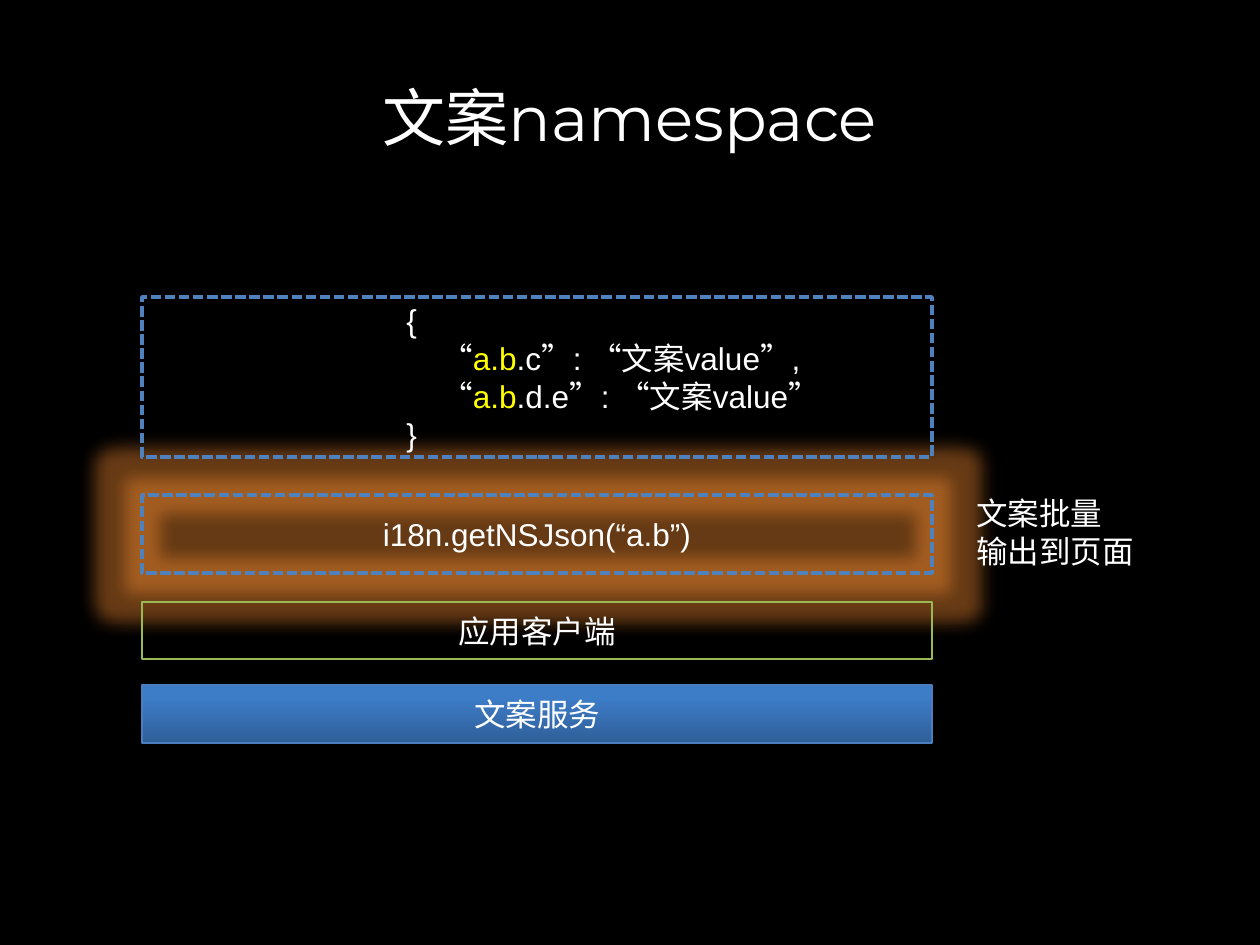
from lxml import etree
from pptx import Presentation
from pptx import util as u
from pptx.dml.color import RGBColor
from pptx.enum import dml, shapes, text
from pptx.oxml import ns

PX = 914400 / 126
BLACK = RGBColor(0x00, 0x00, 0x00)
WHITE = RGBColor(0xFF, 0xFF, 0xFF)
YELLOW = RGBColor(0xFF, 0xFF, 0x00)
BLUE = RGBColor(0x4F, 0x81, 0xBD)
SERVICE_LINE = RGBColor(0x4B, 0x7E, 0xBC)
SERVICE_DARK = RGBColor(0x2F, 0x5F, 0x99)
SERVICE_LIGHT = RGBColor(0x3D, 0x7C, 0xC7)
GREEN = RGBColor(0x98, 0xB9, 0x55)
GLOW = RGBColor(0xFF, 0x91, 0x34)

LAYER_LEFT, LAYER_WIDTH = 142, 790


def emu(*lengths):
    return [u.Emu(round(length * PX)) for length in lengths]


def write(frame, lines, align, size=18, name="Arial"):
    for number, parts in enumerate(lines):
        line = frame.paragraphs[0] if number == 0 else frame.add_paragraph()
        line.alignment = align
        for words, color in parts:
            run = line.add_run()
            run.text = words
            run.font.size = u.Pt(size)
            run.font.name = name
            run.font.color.rgb = color


deck = Presentation()
deck.slide_width, deck.slide_height = emu(1260, 945)
slide = deck.slides.add_slide(deck.slide_layouts[6])
slide.background.fill.solid()
slide.background.fill.fore_color.rgb = BLACK

title = slide.shapes.add_textbox(*emu(63, 38, 1134, 157)).text_frame
title.word_wrap = True
title.vertical_anchor = text.MSO_ANCHOR.MIDDLE
write(title, [[("文案namespace", WHITE)]], text.PP_ALIGN.CENTER, 36, "Montserrat")

code_lines = [
    [("{", WHITE)],
    [("“", WHITE), ("a.b", YELLOW), (".c”: “文案value”,", WHITE)],
    [("“", WHITE), ("a.b", YELLOW), (".d.e”: “文案value”", WHITE)],
    [("}", WHITE)],
]
layers = [
    (495, 78, BLUE, 2, [[("i18n.getNSJson(“a.b”)", WHITE)]], text.PP_ALIGN.CENTER),
    (685, 58, SERVICE_LINE, 0.75, [[("文案服务", WHITE)]], text.PP_ALIGN.CENTER),
    (602, 57, GREEN, 0.75, [[("应用客户端", WHITE)]], text.PP_ALIGN.CENTER),
    (297, 160, BLUE, 2, code_lines, text.PP_ALIGN.LEFT),
]
boxes = []
for top, height, color, weight, lines, align in layers:
    box = slide.shapes.add_shape(
        shapes.MSO_SHAPE.RECTANGLE, *emu(LAYER_LEFT, top, LAYER_WIDTH, height))
    box.shadow.inherit = False
    box.fill.background()
    box.line.color.rgb = color
    box.line.width = u.Pt(weight)
    if color == BLUE:
        box.line.dash_style = dml.MSO_LINE.SQUARE_DOT
    box.text_frame.word_wrap = True
    box.text_frame.vertical_anchor = text.MSO_ANCHOR.MIDDLE
    write(box.text_frame, lines, align)
    boxes.append(box)
call, service, client, code = boxes

effects = call.element.spPr.find(ns.qn("a:effectLst"))
glow = etree.SubElement(effects, ns.qn("a:glow"), rad="228600")
glow_color = etree.SubElement(glow, ns.qn("a:srgbClr"), val=str(GLOW))
etree.SubElement(glow_color, ns.qn("a:alpha"), val="40000")

service.fill.gradient()
service.fill.gradient_angle = 90
for stop, position, color in zip(
        service.fill.gradient_stops, (0, 0.8), (SERVICE_DARK, SERVICE_LIGHT)):
    stop.position = position
    stop.color.rgb = color

for line, indent in zip(code.text_frame.paragraphs, (252, 287, 287, 252)):
    properties = line._p.get_or_add_pPr()
    properties.set("marL", str(emu(indent)[0]))
    properties.set("indent", "0")

note = slide.shapes.add_textbox(*emu(964, 488, 184, 89)).text_frame
note.word_wrap = False
write(note, [[("文案批量", WHITE)], [("输出到页面", WHITE)]], text.PP_ALIGN.LEFT)

deck.save("out.pptx")
